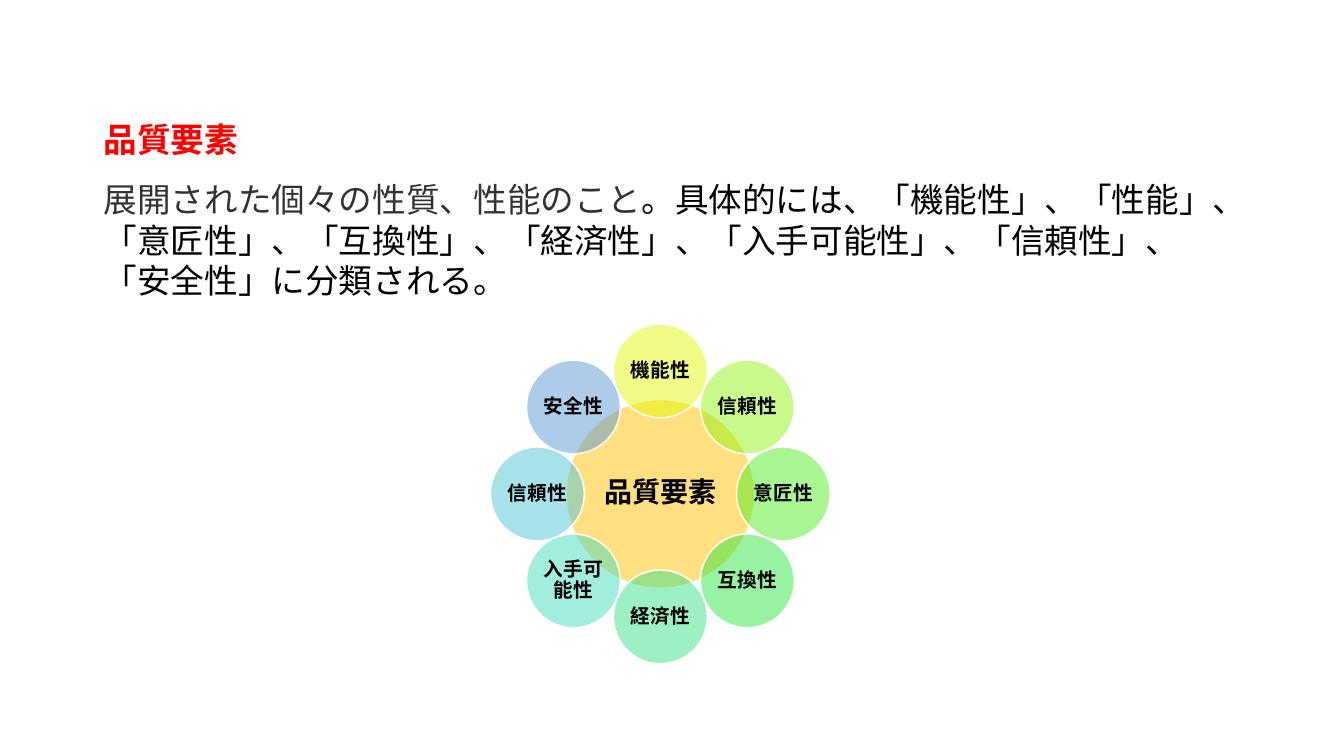
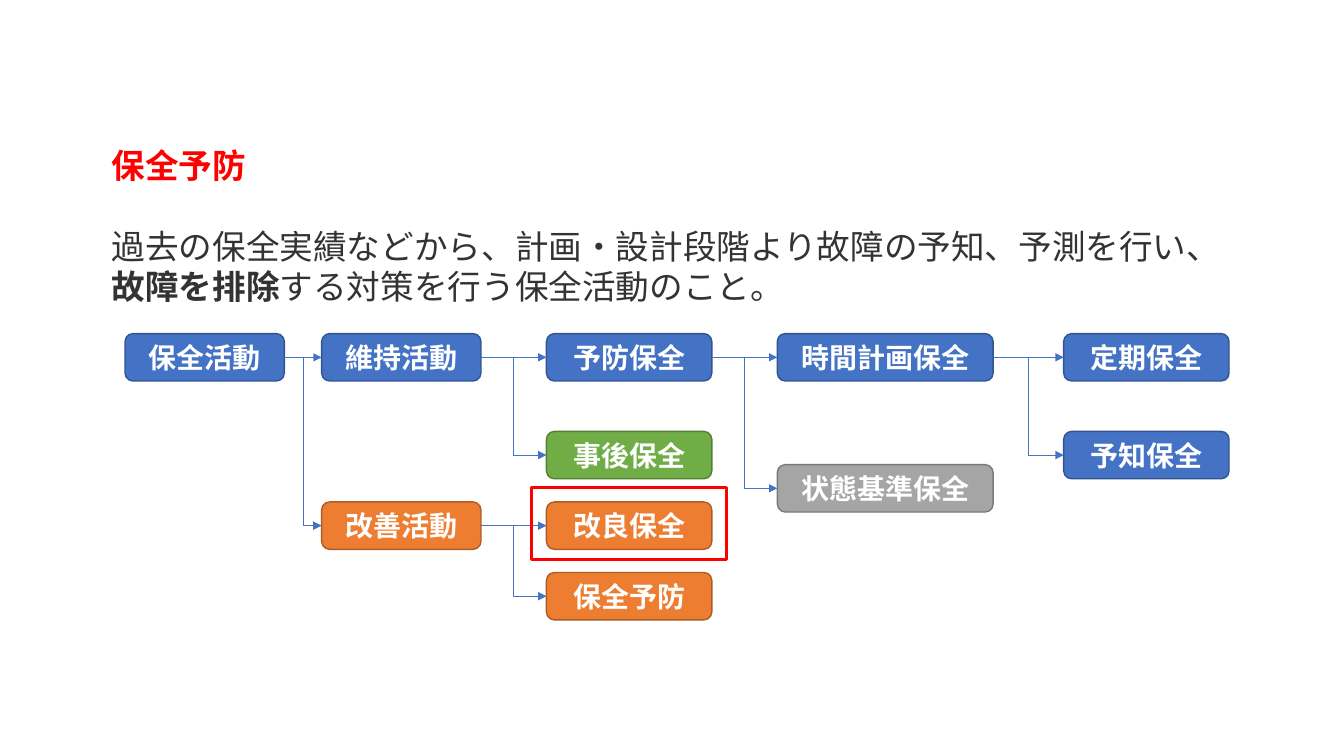
import math

from lxml import etree
from pptx import Presentation
from pptx.dml.color import RGBColor
from pptx.enum import shapes, text
from pptx.oxml.ns import qn
from pptx.util import Inches, Pt

CJK, LATIN = "Noto Sans CJK JP", "Roboto"
RED, BLACK, GREY, WHITE = "FF0000", "000000", "333333", "FFFFFF"
BLUE = ("4472C4", "325491")
GREEN = ("70AD47", "538035")
SILVER = ("A5A5A5", "7A7A7A")
ORANGE = ("ED7D31", "AF5C24")
LEFT_SIDE, RIGHT_SIDE = 1, 3


def rgb(value):
    return RGBColor.from_string(value)


def set_font(font, size, color, bold=False, name=CJK):
    """Style a font, using one typeface for Latin and East Asian text."""
    font.size, font.bold, font.name = Pt(size), bold, name
    font.color.rgb = rgb(color)
    latin = font._element.find(qn("a:latin"))
    east_asian = etree.Element(qn("a:ea"), typeface=name)
    latin.addnext(east_asian)


class Deck:
    def __init__(self):
        self.presentation = Presentation()
        self.presentation.slide_width = Inches(13.33)
        self.presentation.slide_height = Inches(7.5)
        self.page = None

    def new_page(self):
        layout = self.presentation.slide_layouts[6]
        self.page = self.presentation.slides.add_slide(layout)

    def definition(self, left, top, width, height, term, gap, spans):
        """Add a red term and its explanation; spans are (words, color, bold, font)."""
        box = self.page.shapes.add_textbox(*map(Inches, (left, top, width, height)))
        frame = box.text_frame
        frame.word_wrap = True
        heading = frame.paragraphs[0]
        heading.text = term
        set_font(heading.font, 24, RED, True)
        para = frame.add_paragraph()
        para.space_before = Pt(gap)
        for words, color, bold, name in spans:
            span = para.add_run()
            span.text = words
            set_font(span.font, 24, color, bold, name)

    def shape(self, kind, left, top, width, height, fill, line, weight=1, alpha=None):
        item = self.page.shapes.add_shape(kind, *map(Inches, (left, top, width, height)))
        item.shadow.inherit = False
        item.line.color.rgb = rgb(line)
        item.line.width = Pt(weight)
        if fill is None:
            item.fill.background()
        else:
            item.fill.solid()
            item.fill.fore_color.rgb = rgb(fill)
        if alpha is not None:
            color = item.fill._xPr.find(qn("a:solidFill"))[0]
            etree.SubElement(color, qn("a:alpha"), val=str(alpha * 1000))
        return item

    def label(self, item, words, size, color, inset=None):
        frame = item.text_frame
        frame.word_wrap = True
        frame.vertical_anchor = text.MSO_ANCHOR.MIDDLE
        if inset is not None:
            frame.margin_left = frame.margin_right = Inches(inset)
            frame.margin_top = frame.margin_bottom = Inches(inset)
        para = frame.paragraphs[0]
        para.text = words
        para.alignment = text.PP_ALIGN.CENTER
        set_font(para.font, size, color, True)
        return para

    def petal(self, center_x, center_y, diameter, fill, words, size, inset):
        """Add a half-transparent labelled circle around a centre point."""
        radius = diameter / 2
        circle = self.shape(shapes.MSO_SHAPE.OVAL, center_x - radius, center_y - radius,
                            diameter, diameter, fill, WHITE, alpha=50)
        self.label(circle, words, size, BLACK, inset).line_spacing = 0.9

    def node(self, left, top, width, colors, words):
        item = self.shape(shapes.MSO_SHAPE.FLOWCHART_ALTERNATE_PROCESS,
                          left, top, width, 0.47, *colors)
        self.label(item, words, 20, WHITE)
        return item

    def arrow(self, start, end):
        """Join two nodes: straight within a row, bent between rows."""
        kinds = shapes.MSO_CONNECTOR
        kind = kinds.STRAIGHT if start.top == end.top else kinds.ELBOW
        link = self.page.shapes.add_connector(kind, 0, 0, 0, 0)
        link.begin_connect(start, RIGHT_SIDE)
        link.end_connect(end, LEFT_SIDE)
        link.line.color.rgb = rgb(BLUE[0])
        link.line.width = Pt(0.5)
        etree.SubElement(link.line._get_or_add_ln(), qn("a:tailEnd"), type="triangle")
        etree.SubElement(link._element.spPr, qn("a:effectLst"))


def quality_page(deck):
    deck.new_page()
    deck.definition(0.93, 1.13, 11.25, 1.92, "品質要素", 14.4, [
        ("展開された個々の性質、性能のこと", GREY, False, LATIN),
        ("。具体的には、「機能性」、「性能」、「意匠性」、「互換性」、「経済性」、"
         "「入手可能性」、「信頼性」、「安全性」に分類される。", BLACK, False, CJK),
    ])
    center_x, center_y, ring = 6.55, 4.9, 1.22
    deck.petal(center_x, center_y, 1.87, "FFC000", "品質要素", 20, 0.03)
    factors = [
        ("機能性", "E3F90C"), ("信頼性", "94F319"), ("意匠性", "52ED24"),
        ("互換性", "30E845"), ("経済性", "3BE287"), ("入手可能性", "46DEBF"),
        ("信頼性", "51C7D9"), ("安全性", "5B9BD5"),
    ]
    for index, (words, fill) in enumerate(factors):
        angle = math.tau * index / len(factors)
        deck.petal(center_x + ring * math.sin(angle), center_y - ring * math.cos(angle),
                   0.93, fill, words, 14, 0.02)


def maintenance_page(deck):
    deck.new_page()
    deck.definition(1.01, 1.39, 11.42, 1.72, "保全予防", 28.8, [
        ("過去の保全実績などから、計画・設計段階より故障の予知、予測を行い、",
         GREY, False, LATIN),
        ("故障を排除", GREY, True, LATIN),
        ("する対策を行う保全活動のこと。", GREY, False, LATIN),
    ])
    columns = [(1.24, 1.58), (3.19, 1.58), (5.42, 1.64), (7.71, 2.14), (10.55, 1.64)]
    top_row = 3.31
    # Each node: column, top, colours, words, parent
    tree = [
        (0, top_row, BLUE, "保全活動", None),
        (1, top_row, BLUE, "維持活動", "保全活動"),
        (1, 4.98, ORANGE, "改善活動", "保全活動"),
        (2, top_row, BLUE, "予防保全", "維持活動"),
        (2, 4.28, GREEN, "事後保全", "維持活動"),
        (2, 4.98, ORANGE, "改良保全", "改善活動"),
        (2, 5.68, ORANGE, "保全予防", "改善活動"),
        (3, top_row, BLUE, "時間計画保全", "予防保全"),
        (3, 4.61, SILVER, "状態基準保全", "予防保全"),
        (4, top_row, BLUE, "定期保全", "時間計画保全"),
        (4, 4.28, BLUE, "予知保全", "時間計画保全"),
    ]
    nodes = {}
    for column, top, colors, words, parent in tree:
        left, width = columns[column]
        nodes[words] = deck.node(left, top, width, colors, words)
        if parent:
            deck.arrow(nodes[parent], nodes[words])
    deck.shape(shapes.MSO_SHAPE.RECTANGLE, 5.27, 4.84, 1.94, 0.71, None, RED, 2.25)


def main():
    deck = Deck()
    quality_page(deck)
    maintenance_page(deck)
    deck.presentation.save("out.pptx")


if __name__ == "__main__":
    main()
